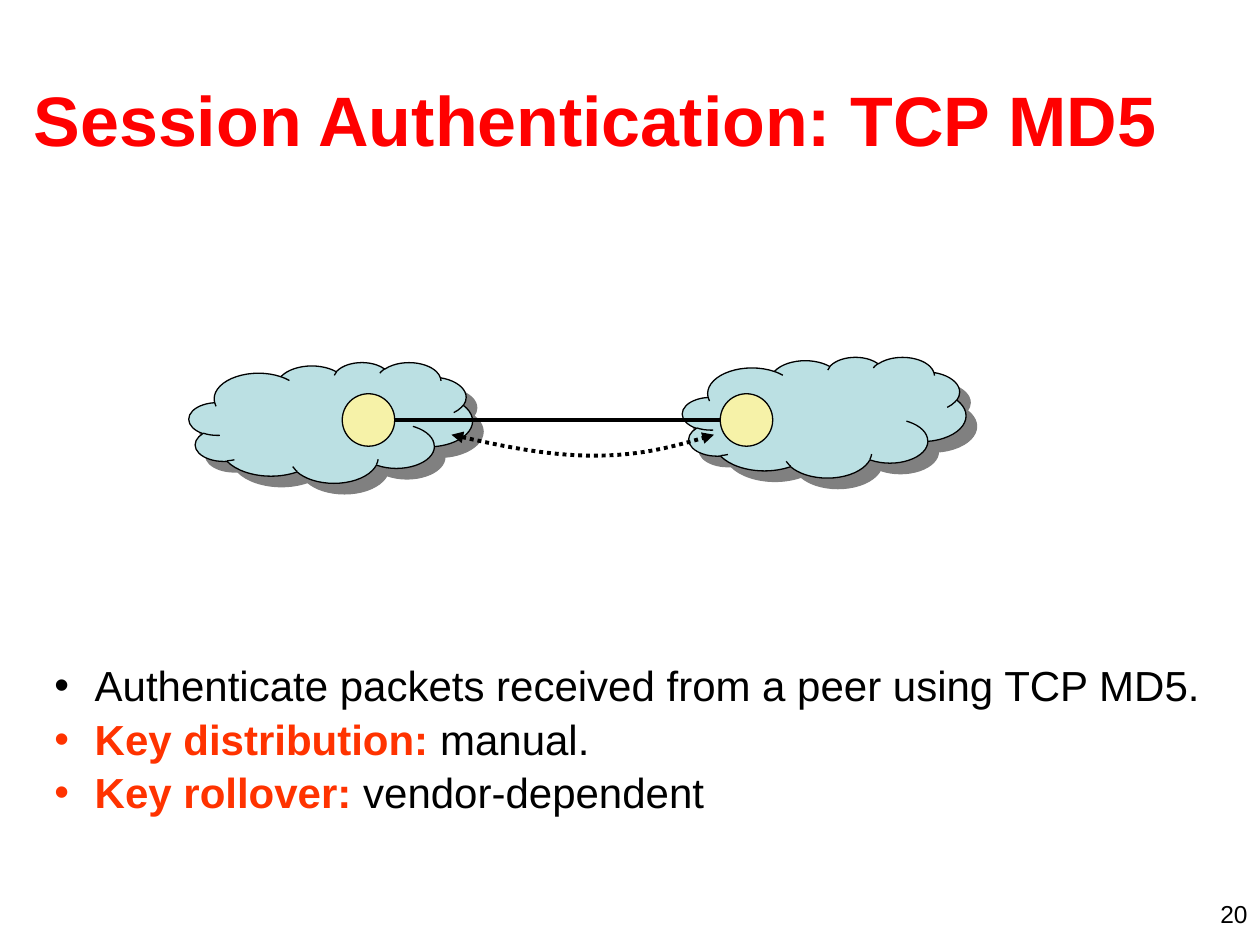
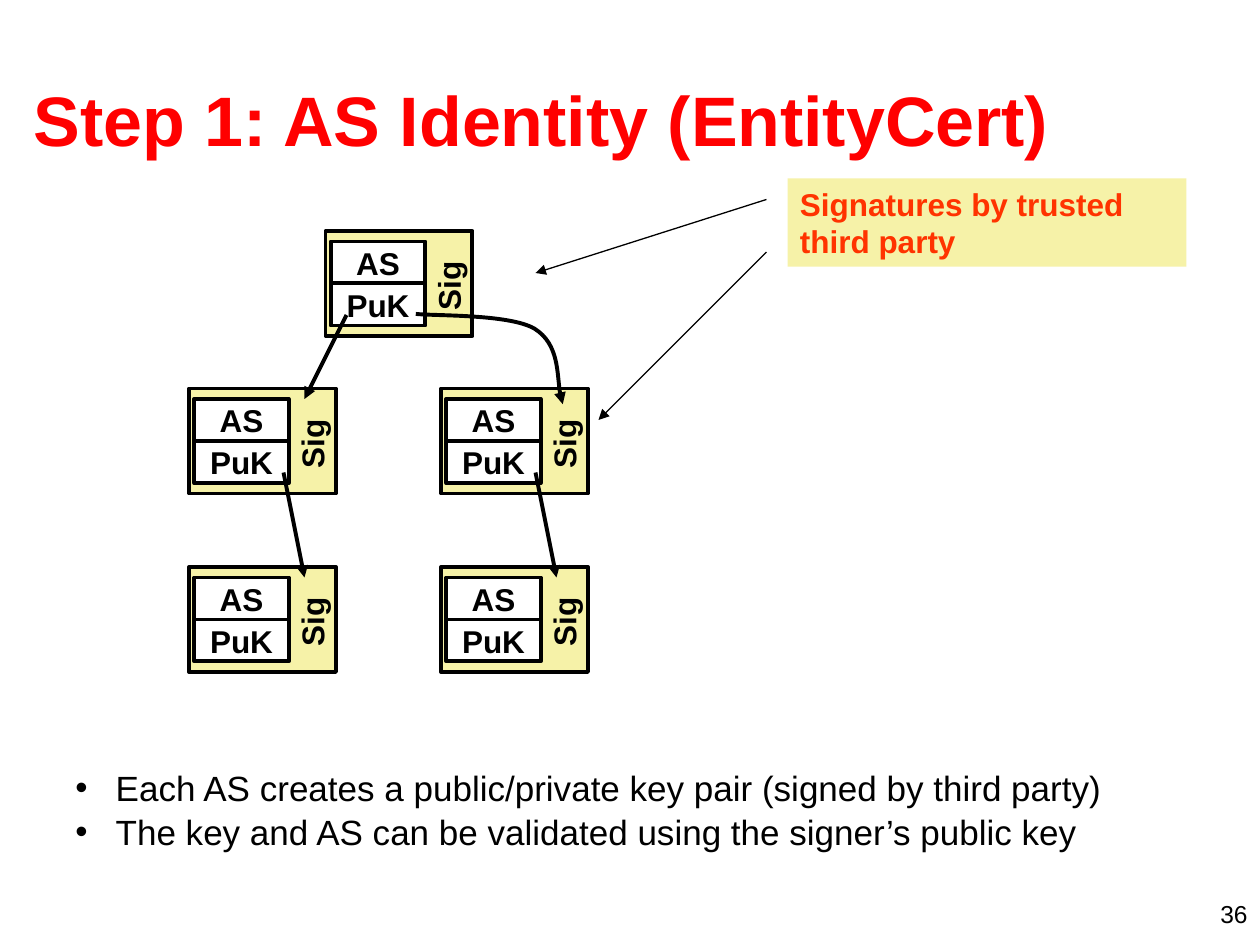
from dataclasses import dataclass

from lxml.etree import SubElement
from pptx import Presentation
from pptx.dml.color import RGBColor
from pptx.enum.dml import MSO_LINE
from pptx.enum.shapes import MSO_CONNECTOR, MSO_SHAPE
from pptx.enum.text import MSO_ANCHOR, MSO_AUTO_SIZE, PP_ALIGN
from pptx.oxml.ns import qn
from pptx.util import Inches, Pt


@dataclass(frozen=True)
class Theme:
    font: str = "Arial"
    title: str = "FF0000"
    accent: str = "FF3300"
    ink: str = "000000"
    paper: str = "FFFFFF"
    cloud: str = "BBE0E3"
    sand: str = "F6F2A8"
    shade: str = "808080"
    title_size: int = 40
    label_size: int = 18
    page_size: int = 14
    thick: float = 2.25
    thin: float = 0.75


theme = Theme()
COLUMNS, ROWS = 120, 90  # square cells, twelve to the inch

deck = Presentation()
deck.slide_width, deck.slide_height = Inches(10), Inches(7.5)
CELL = deck.slide_width // COLUMNS


def place(slide, kind, box, fill=None, border=None, paragraphs=(), size=theme.label_size,
          align=PP_ALIGN.LEFT, anchor=MSO_ANCHOR.TOP, margins=(0.1, 0.05)):
    """Put a shape, text box (kind None) or title on the grid; runs are (text, colour, bold)."""
    left, top, width, height = [round(n * CELL) for n in box]
    if kind == "title":
        part = slide.shapes.title
        for side, value in dict(left=left, top=top, width=width, height=height).items():
            setattr(part, side, value)
    elif kind is None:
        part = slide.shapes.add_textbox(left, top, width, height)
    else:
        part = slide.shapes.add_shape(kind, left, top, width, height)
        part.shadow.inherit = False
        part.fill.solid()
        part.fill.fore_color.rgb = RGBColor.from_string(fill)
        if border:
            part.line.color.rgb = RGBColor.from_string(theme.ink)
            part.line.width = Pt(border)
        else:
            part.line.fill.background()

    frame = part.text_frame
    across, down = [Inches(m) for m in margins]
    frame_format = dict(word_wrap=True, auto_size=MSO_AUTO_SIZE.NONE, vertical_anchor=anchor,
                        margin_left=across, margin_right=across,
                        margin_top=down, margin_bottom=down)
    for name, value in frame_format.items():
        setattr(frame, name, value)
    for i, runs in enumerate(paragraphs):
        paragraph = frame.paragraphs[0] if i == 0 else frame.add_paragraph()
        paragraph.alignment = align
        for text, colour, bold in runs:
            for j, line in enumerate(text.split("\n")):
                if j:
                    paragraph.add_line_break()
                run = paragraph.add_run()
                run.text = line
                for name, value in dict(name=theme.font, size=Pt(size), bold=bold).items():
                    setattr(run.font, name, value)
                run.font.color.rgb = RGBColor.from_string(colour)
    return part


def draw_route(slide, points, width, ends=("tailEnd",), dash=None):
    """Join two points by a straight line, or more points as a chain of Bézier curves."""
    (x1, y1), *rest = [(round(x * CELL), round(y * CELL)) for x, y in points]
    if len(rest) == 1:
        route = slide.shapes.add_connector(MSO_CONNECTOR.STRAIGHT, x1, y1, *rest[0])
        no_effects = True
    else:
        outline = slide.shapes.build_freeform(x1, y1)
        outline.add_line_segments(rest, close=False)
        route = outline.convert_to_shape()
        route.shadow.inherit = False
        route.fill.background()
        no_effects = False
        steps = list(route.element.iter(qn("a:lnTo")))
        track = steps[0].getparent()
        for start in range(0, len(steps), 3):
            curve = SubElement(track, qn("a:cubicBezTo"))
            for step in steps[start:start + 3]:
                curve.append(step[0])
                track.remove(step)
    route.line.color.rgb = RGBColor.from_string(theme.ink)
    route.line.width = Pt(width)
    if dash:
        route.line.dash_style = dash
    properties = route.element.spPr
    for end in ends:
        SubElement(properties.find(qn("a:ln")), qn(f"a:{end}"), type="triangle")
    if no_effects:
        SubElement(properties, qn("a:effectLst"))


# Titles, bullets and page numbers
pages = [
    dict(title="Session Authentication: TCP MD5", number="20",
         body=(4, 63, 112, 21), size=24, gap=6,
         bullets=[
             [("Authenticate packets received from a peer using TCP MD5.", theme.ink, False)],
             [("Key distribution:", theme.accent, True), (" manual.", theme.ink, False)],
             [("Key rollover:", theme.accent, True), (" vendor-dependent", theme.ink, False)],
         ]),
    dict(title="Step 1: AS Identity (EntityCert)", number="36",
         body=(6, 73, 109, 9), size=20, gap=5,
         bullets=[
             [("Each AS creates a public/private key pair (signed by third party)",
               theme.ink, False)],
             [("The key and AS can be validated using the signer’s public key",
               theme.ink, False)],
         ]),
]
slides = []
for page in pages:
    slide = deck.slides.add_slide(deck.slide_layouts[5])
    slides.append(slide)
    place(slide, "title", (2, 3.8, COLUMNS - 5, 15),
          paragraphs=[[(page["title"], theme.title, True)]],
          size=theme.title_size, anchor=MSO_ANCHOR.MIDDLE)
    body = place(slide, None, page["body"], paragraphs=page["bullets"], size=page["size"])
    for i, paragraph in enumerate(body.text_frame.paragraphs):
        paragraph.line_spacing = 0.85
        paragraph.space_before = Pt(page["gap"] if i else 0)
        indents = paragraph._p.get_or_add_pPr()
        indents.set("marL", str(Inches(0.32)))
        indents.set("indent", str(-Inches(0.32)))
        bullet_colour = SubElement(indents, qn("a:buClr"))
        SubElement(bullet_colour, qn("a:srgbClr"), val=page["bullets"][i][0][1])
        SubElement(indents, qn("a:buFont"), typeface=theme.font)
        SubElement(indents, qn("a:buChar"), char="•")
    place(slide, None, (COLUMNS - 28, ROWS - 5, 28, 3),
          paragraphs=[[(page["number"], theme.ink, False)]],
          size=theme.page_size, align=PP_ALIGN.RIGHT)
session, identity = slides

# Session: two networks, their routers and the authenticated link
for left, top in [(65, 34), (18, 34.5)]:
    network = place(session, MSO_SHAPE.CLOUD, (left, top, 27, 11.5), theme.cloud, theme.thin)
    effects = network.element.spPr.find(qn("a:effectLst"))
    shadow = SubElement(effects, qn("a:outerShdw"), dist=str(Pt(8.5)), dir="2700000",
                        algn="ctr", rotWithShape="0")
    SubElement(shadow, qn("a:srgbClr"), val=theme.shade)
draw_route(session, [(37, 40), (69, 40)], theme.thick, ends=())
draw_route(session, [(43, 41.4), (47.8, 42.5), (52.4, 43.4), (56.6, 43.4),
                     (60.8, 43.4), (64.4, 42.5), (68, 41.4)],
           theme.thick, ends=("headEnd", "tailEnd"), dash=MSO_LINE.ROUND_DOT)
for left in (32.6, 68.6):
    place(session, MSO_SHAPE.OVAL, (left, 37.5, 5, 5), theme.sand, theme.thin)

# Identity: tree of certificates
centred = dict(align=PP_ALIGN.CENTER, anchor=MSO_ANCHOR.MIDDLE, margins=(0, 0))
certificates = [(31, 22)] + [(x, y) for y in (37, 54) for x in (18, 42)]
for left, top in certificates:
    place(identity, MSO_SHAPE.RECTANGLE, (left, top, 14, 10), theme.sand, theme.thick)
    for field, row in [("PuK", 5), ("AS", 1)]:
        place(identity, MSO_SHAPE.RECTANGLE, (left + 0.5, top + row, 9, 4), theme.paper,
              theme.thick, [[(field, theme.ink, True)]], **centred)
    signature = place(identity, None, (left + 8.4, top + 3, 6.6, 4.5),
                      paragraphs=[[("Sig", theme.ink, True)]], **centred)
    signature.rotation = 270

# Identity: signing arrows
for signing in [
    [(33, 30), (29, 38)],
    [(27, 45), (29, 55)],
    [(51, 45), (53, 55)],
    [(39.6, 29.9), (41.4, 30.1), (48.5, 29.9), (50.9, 31.3),
     (53.3, 32.8), (53, 37), (53.6, 38.5)],
]:
    draw_route(identity, signing, theme.thick)

# Identity: callout
for pointer in [[(73, 19), (51, 26)], [(73, 24), (57, 40)]]:
    draw_route(identity, pointer, theme.thin)
place(identity, MSO_SHAPE.RECTANGLE, (75, 17, 38, 8.4), theme.sand,
      paragraphs=[[("Signatures by trusted\nthird party", theme.accent, True)]])

deck.save("out.pptx")
